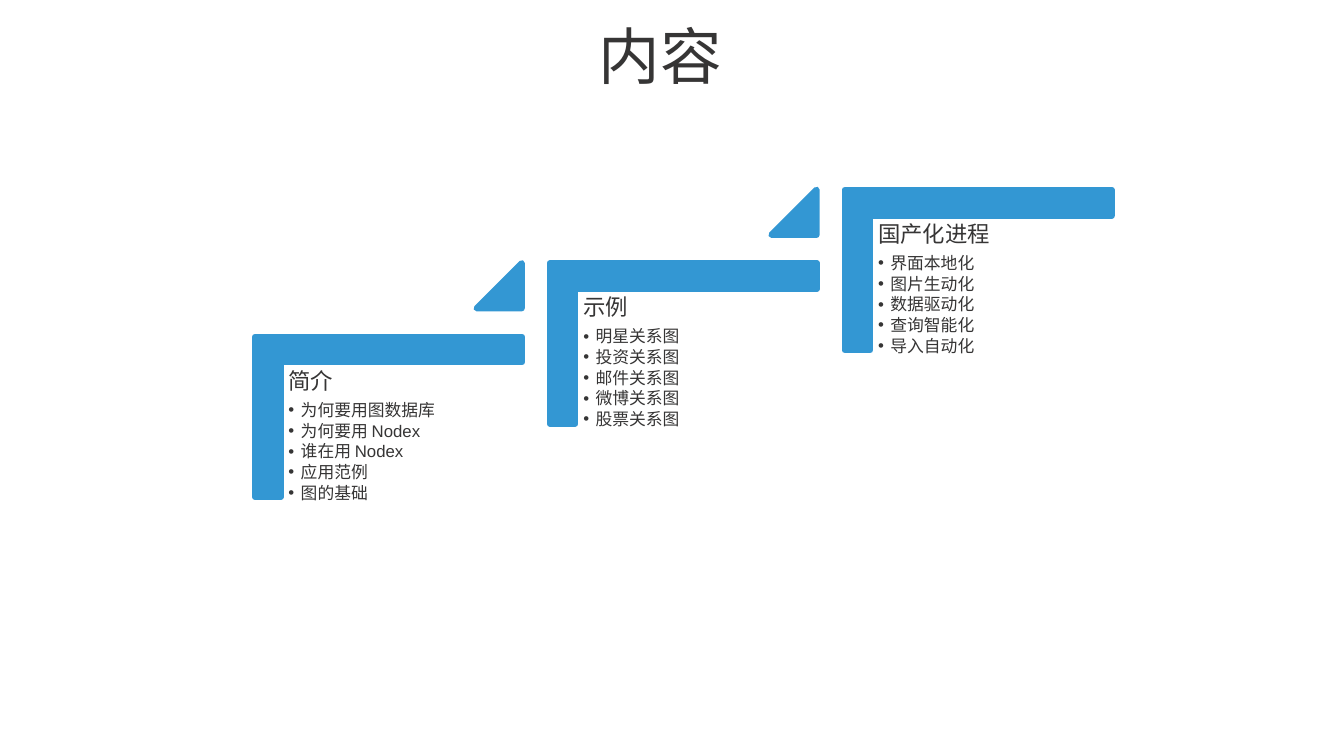
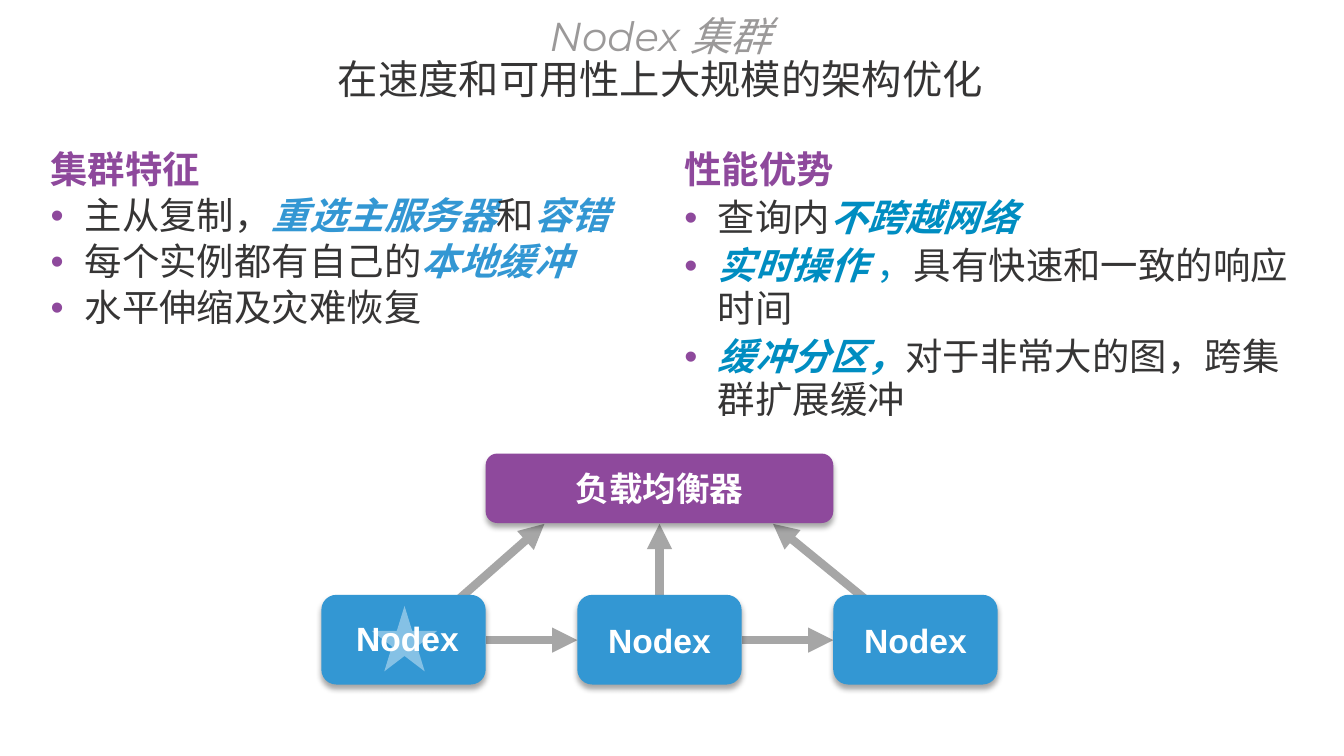
import pptx
import pptx.util
import pptx.dml.color
import pptx.enum.shapes
import pptx.enum.text
import pptx.oxml
import pptx.oxml.ns
import lxml.etree

Cm = pptx.util.Cm
Pt = pptx.util.Pt
RGBColor = pptx.dml.color.RGBColor
MSO_SHAPE = pptx.enum.shapes.MSO_SHAPE
PP_ALIGN = pptx.enum.text.PP_ALIGN
MSO_ANCHOR = pptx.enum.text.MSO_ANCHOR
MSO_AUTO_SIZE = pptx.enum.text.MSO_AUTO_SIZE
qn = pptx.oxml.ns.qn

DARK = RGBColor(0x36, 0x35, 0x35)
GRAY = RGBColor(0x9B, 0x99, 0x99)
ARROW_GRAY = RGBColor(0xA6, 0xA6, 0xA6)
BLUE = RGBColor(0x33, 0x97, 0xD3)
LIGHT_BLUE = RGBColor(0x85, 0xC1, 0xE5)
TEAL = RGBColor(0x00, 0x8D, 0xC1)
PURPLE = RGBColor(0x8E, 0x49, 0x9C)
WHITE = RGBColor(0xFF, 0xFF, 0xFF)

TITLE_BOX = {"left": Cm(6.91), "top": Cm(0.3), "width": Cm(19.46), "height": Cm(2.41)}
TITLE_FRAME = {"auto_size": MSO_AUTO_SIZE.NONE, "word_wrap": True, "vertical_anchor": MSO_ANCHOR.MIDDLE}
TITLE_PARAGRAPH = {"alignment": PP_ALIGN.CENTER, "line_spacing": 0.9}
STEP_FRAME = {"word_wrap": True, "margin_left": Cm(0.18), "margin_right": Cm(0.18),
              "margin_top": Cm(0.18), "margin_bottom": Cm(0.18)}
LIST_FRAME = {"auto_size": MSO_AUTO_SIZE.NONE, "word_wrap": True, "vertical_anchor": MSO_ANCHOR.TOP}
NODE_FRAME = {"word_wrap": True, "vertical_anchor": MSO_ANCHOR.MIDDLE}
NODE_PARAGRAPH = {"alignment": PP_ALIGN.CENTER}

STEP_HEADING = {"name": "Arial", "size": Pt(16)}
STEP_ITEM = {"name": "Arial", "size": Pt(12)}
PLAIN = {"name": "Arial", "size": Pt(26.7), "bold": False, "italic": False}
HEADING = PLAIN | {"bold": True}
STRONG = HEADING | {"italic": True}
PLAIN_CALIBRI = PLAIN | {"name": "Calibri"}
HEADING_CALIBRI = HEADING | {"name": "Calibri"}
STRONG_CALIBRI = STRONG | {"name": "Calibri"}
NODE_FONT = {"name": "Arial", "size": Pt(24), "bold": True}


def write(paragraph, runs, paragraph_format, indent=0, bullet_color=DARK):
    properties = paragraph._p.get_or_add_pPr()
    properties.set("marL", str(Cm(indent)))
    properties.set("indent", str(-Cm(indent)))
    if indent:
        color = lxml.etree.SubElement(properties, qn("a:buClr"))
        lxml.etree.SubElement(color, qn("a:srgbClr"), val=str(bullet_color))
        lxml.etree.SubElement(properties, qn("a:buFont"), typeface="Arial")
        lxml.etree.SubElement(properties, qn("a:buChar"), char="•")
    else:
        lxml.etree.SubElement(properties, qn("a:buNone"))
    for name, value in paragraph_format.items():
        setattr(paragraph, name, value)
    for text, font_format, color in runs:
        if text.startswith("\n"):
            paragraph.add_line_break()
        run = paragraph.add_run()
        run.text = text.strip("\n")
        run._r.get_or_add_rPr().set("lang", "zh-CN")
        for name, value in font_format.items():
            setattr(run.font, name, value)
        run.font.color.rgb = color


def add_block(slide, kind, box, color, shadow=False):
    shape = slide.shapes.add_shape(kind, *map(Cm, box))
    shape.fill.solid()
    shape.fill.fore_color.rgb = color
    shape.line.fill.background()
    shape.shadow.inherit = False
    if shadow:
        effects = shape._element.spPr.find(qn("a:effectLst"))
        outer = lxml.etree.SubElement(effects, qn("a:outerShdw"), blurRad=str(Pt(4)), dist=str(Pt(3)),
                                      dir="5400000", algn="t", rotWithShape="0")
        shade = lxml.etree.SubElement(outer, qn("a:srgbClr"), val="000000")
        lxml.etree.SubElement(shade, qn("a:alpha"), val="35000")
    return shape


presentation = pptx.Presentation()
presentation.slide_width = Cm(33.87)
presentation.slide_height = Cm(19.05)
contents_slide = presentation.slides.add_slide(presentation.slide_layouts[5])
cluster_slide = presentation.slides.add_slide(presentation.slide_layouts[3])

titles = [
    (contents_slide, [("内容", {"name": "Montserrat", "size": Pt(44)}, DARK)]),
    (cluster_slide, [
        ("Nodex 集群", {"name": "Montserrat", "size": Pt(28.8), "italic": True}, GRAY),
        ("\n在速度和可用性上大规模的架构优化", {"name": "Montserrat", "size": Pt(28.8)}, DARK),
    ]),
]
for slide, runs in titles:
    title = slide.shapes.title
    for name, value in TITLE_BOX.items():
        setattr(title, name, value)
    for name, value in TITLE_FRAME.items():
        setattr(title.text_frame, name, value)
    write(title.text_frame.paragraphs[0], runs, TITLE_PARAGRAPH)

steps = [
    ("简介", ["为何要用图数据库", "为何要用 Nodex", "谁在用 Nodex", "应用范例", "图的基础"]),
    ("示例", ["明星关系图", "投资关系图", "邮件关系图", "微博关系图", "股票关系图"]),
    ("国产化进程", ["界面本地化", "图片生动化", "数据驱动化", "查询智能化", "导入自动化"]),
]
for index, (heading, items) in enumerate(steps):
    right = 7.43 * index
    up = 1.85 * index
    corner = add_block(contents_slide, MSO_SHAPE.CORNER, (7.77 + right, 7.14 - up, 4.04, 6.73), BLUE)
    corner.rotation = 90
    corner.adjustments[0] = corner.adjustments[1] = 0.16
    blocks = [corner]
    if index < len(steps) - 1:
        triangle = add_block(contents_slide, MSO_SHAPE.ISOSCELES_TRIANGLE,
                             (12.01 + right, 6.63 - up, 1.14, 1.14), BLUE)
        triangle.adjustments[0] = 1
        blocks.append(triangle)
    for block in blocks:
        block.line.color.rgb = BLUE
        block.line.width = Pt(4.33)
    text_box = contents_slide.shapes.add_textbox(Cm(7.09 + right), Cm(9.14 - up), Cm(6.07), Cm(5.31))
    frame = text_box.text_frame
    for name, value in STEP_FRAME.items():
        setattr(frame, name, value)
    write(frame.paragraphs[0], [(heading, STEP_HEADING, DARK)], {"line_spacing": 0.9, "space_after": Pt(5.6)})
    for item in items:
        write(frame.add_paragraph(), [(item, STEP_ITEM, DARK)],
              {"line_spacing": 0.9, "space_after": Pt(1.8)}, 0.31)

columns = [
    (1, (1.02, 3.63, 15.98, 4.85), 0.9, 0.86, ("集群特征", HEADING, PURPLE), [
        [("主从复制，", PLAIN, DARK), ("重选主服务器", STRONG, BLUE), ("和", PLAIN, DARK), ("容错", STRONG, BLUE)],
        [("每个实例都有自己的", PLAIN, DARK), ("本地缓冲", STRONG, BLUE)],
        [("水平伸缩及灾难恢复", PLAIN, DARK)],
    ]),
    (2, (16.99, 3.63, 15.88, 7.62), 0.95, 0.85, ("性能优势", HEADING_CALIBRI, PURPLE), [
        [("查询内", PLAIN, DARK), ("不跨越网络", STRONG, TEAL)],
        [("实时操作 ", STRONG_CALIBRI, TEAL), ("，", PLAIN_CALIBRI, TEAL), ("具有快速和一致的响应时间", PLAIN, DARK)],
        [("缓冲分区，", STRONG, TEAL), ("对于非常大的图，跨集群扩展缓冲", PLAIN, DARK)],
    ]),
]
for placeholder_index, box, line_spacing, indent, heading, items in columns:
    body = cluster_slide.placeholders[placeholder_index]
    for name, value in zip(("left", "top", "width", "height"), box):
        setattr(body, name, Cm(value))
    frame = body.text_frame
    for name, value in LIST_FRAME.items():
        setattr(frame, name, value)
    write(frame.paragraphs[0], [heading], {"line_spacing": 0.95, "space_before": Pt(0)})
    for runs in items:
        write(frame.add_paragraph(), runs, {"line_spacing": line_spacing, "space_before": Pt(4)}, indent, PURPLE)

arrows = [
    (12.24, 16.13, 14.55, 16.13),
    (18.69, 16.13, 21.0, 16.13),
    (16.62, 14.99, 16.62, 13.2),
    (23.07, 16.13, 19.48, 13.2),
    (10.39, 16.13, 13.72, 13.2),
]
for ends in arrows:
    arrow = cluster_slide.shapes.add_connector(pptx.enum.shapes.MSO_CONNECTOR.STRAIGHT, *map(Cm, ends))
    arrow.line.color.rgb = ARROW_GRAY
    arrow.line.width = Pt(6)
    properties = arrow._element.spPr
    lxml.etree.SubElement(properties.find(qn("a:ln")), qn("a:tailEnd"), type="triangle")
    lxml.etree.SubElement(properties, qn("a:effectLst"))

balancer = add_block(cluster_slide, MSO_SHAPE.ROUNDED_RECTANGLE, (12.24, 11.43, 8.76, 1.75), PURPLE, True)
nodes = [
    add_block(cluster_slide, MSO_SHAPE.ROUNDED_RECTANGLE, (8.1 + 6.45 * index, 14.99, 4.14, 2.26), BLUE, True)
    for index in range(3)
]
add_block(cluster_slide, MSO_SHAPE.STAR_5_POINT, (9.37, 15.27, 1.65, 1.65), LIGHT_BLUE)
primary_label = cluster_slide.shapes.add_textbox(Cm(8.2), Cm(14.96), Cm(4.14), Cm(2.26))
labels = [(balancer, "负载均衡器"), (primary_label, "Nodex"), (nodes[1], "Nodex"), (nodes[2], "Nodex")]
for shape, text in labels:
    for name, value in NODE_FRAME.items():
        setattr(shape.text_frame, name, value)
    write(shape.text_frame.paragraphs[0], [(text, NODE_FONT, WHITE)], NODE_PARAGRAPH)

presentation.save("out.pptx")
